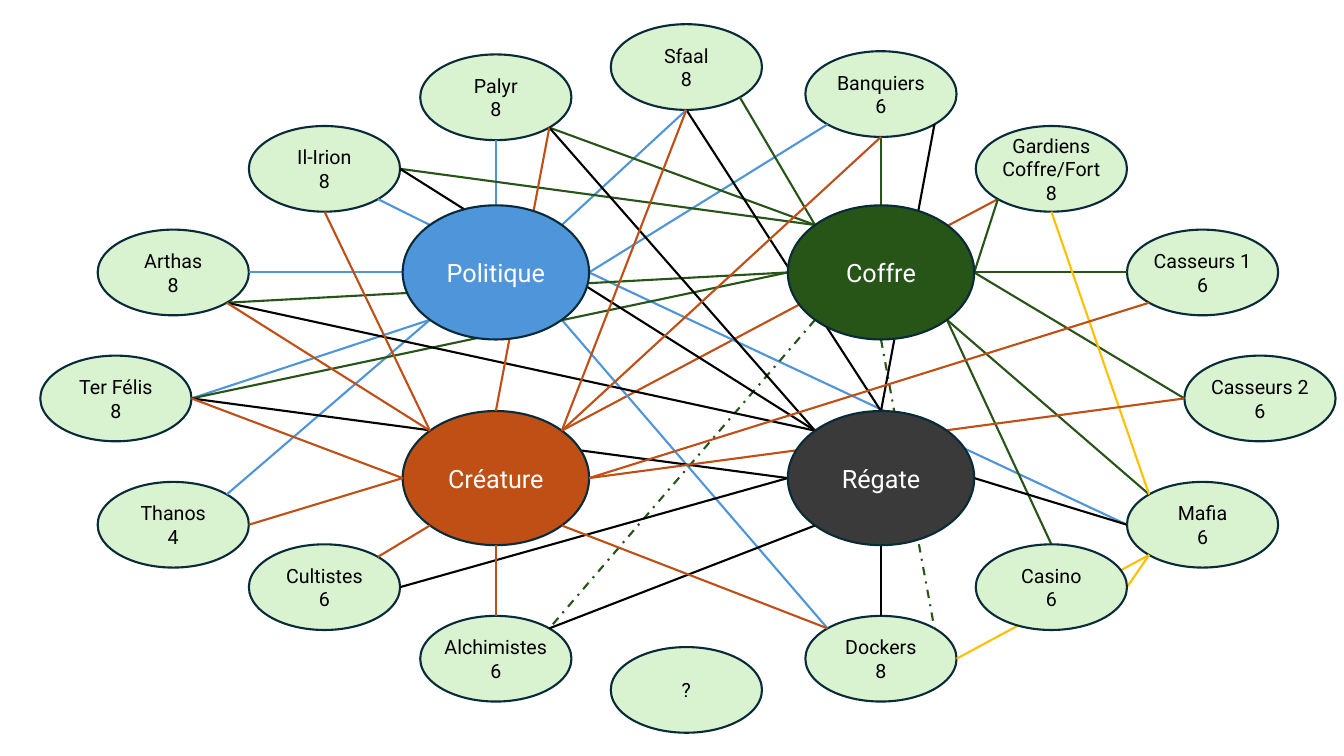
from math import sqrt

from lxml import etree
from pptx import Presentation
from pptx.dml.color import RGBColor
from pptx.enum.dml import MSO_LINE
from pptx.enum.shapes import MSO_CONNECTOR, MSO_SHAPE
from pptx.enum.text import MSO_ANCHOR, PP_ALIGN
from pptx.oxml.ns import qn
from pptx.util import Pt

ELLIPSE = MSO_SHAPE.OVAL
STRAIGHT = MSO_CONNECTOR.STRAIGHT
DASH_DOT = MSO_LINE.DASH_DOT
MIDDLE = MSO_ANCHOR.MIDDLE
CENTER = PP_ALIGN.CENTER

BLUE = RGBColor(0x4E, 0x95, 0xD9)
GREEN = RGBColor(0x27, 0x54, 0x17)
ORANGE = RGBColor(0xC0, 0x4F, 0x15)
CHARCOAL = RGBColor(0x3A, 0x3A, 0x3A)
YELLOW = RGBColor(0xFF, 0xC0, 0x00)
PALE_GREEN = RGBColor(0xD9, 0xF2, 0xD0)
OUTLINE = RGBColor(0x09, 0x2A, 0x39)
BLACK = RGBColor(0x00, 0x00, 0x00)
WHITE = RGBColor(0xFF, 0xFF, 0xFF)

FONT = "Roboto"
LINE_WIDTH = Pt(1.5)
GROUP_SIZE = (108, 61.2)
HUB_SIZE = (133.2, 95.8)

# Plots: centre x, centre y, fill
HUBS = {
    "Politique": (354.2, 194.6, BLUE),
    "Coffre": (629.3, 194.6, GREEN),
    "Créature": (354.2, 341.5, ORANGE),
    "Régate": (629.3, 341.5, CHARCOAL),
}

# Groups of players: centre x, centre y, head count
GROUPS = {
    "Palyr": (354.2, 69.5, "8"),
    "Sfaal": (490.3, 47.9, "8"),
    "Il-Irion": (231.8, 120.6, "8"),
    "Arthas": (123.8, 194.6, "8"),
    "Banquiers": (629.3, 67.2, "6"),
    "Casseurs 1": (859, 194.6, "6"),
    "Gardiens Coffre/Fort": (751, 120.6, "8"),
    "Casseurs 2": (900, 284.6, "6"),
    "Ter Félis": (82.8, 284.6, "8"),
    "Thanos": (123.8, 374.8, "4"),
    "Cultistes": (231.8, 419.4, "6"),
    "Alchimistes": (354.2, 470.5, "6"),
    "?": (490.3, 492.8, ""),
    "Dockers": (629.3, 470.5, "8"),
    "Mafia": (859, 374.8, "6"),
    "Casino": (751, 419.4, "6"),
}

# Links: side of the source, target, side of the target
POLITIQUE_LINKS = [
    ("NE", "Sfaal", "S"), ("N", "Palyr", "S"), ("NW", "Il-Irion", "SE"),
    ("W", "Arthas", "E"), ("SW", "Ter Félis", "E"), ("SW", "Thanos", "NE"),
    ("SE", "Dockers", "NW"), ("E", "Banquiers", "SW"), ("E", "Mafia", "W"),
]
COFFRE_LINKS = [
    ("N", "Banquiers", "S"), ("E", "Gardiens Coffre/Fort", "SW"),
    ("E", "Casseurs 1", "W"), ("E", "Casseurs 2", "W"),
    ("SE", "Mafia", "NW"), ("SE", "Casino", "N"),
    ("W", "Ter Félis", "E"), ("W", "Arthas", "SE"),
    ("NW", "Il-Irion", "E"), ("NW", "Palyr", "SE"), ("NW", "Sfaal", "SE"),
]
COFFRE_DASHED_LINKS = [("S", "Dockers", "NE"), ("SW", "Alchimistes", "NE")]
REGATE_LINKS = [
    ("N", "Banquiers", "SE"), ("E", "Mafia", "W"), ("S", "Dockers", "N"),
    ("SW", "Alchimistes", "NE"), ("W", "Cultistes", "E"),
    ("W", "Ter Félis", "E"), ("NW", "Arthas", "SE"),
    ("NW", "Il-Irion", "E"), ("NW", "Palyr", "SE"), ("N", "Sfaal", "S"),
]
CREATURE_BACK_LINKS = [("NE", "Gardiens Coffre/Fort", "SW")]
CREATURE_LINKS = [
    ("SW", "Cultistes", "NE"), ("SE", "Dockers", "NW"),
    ("S", "Alchimistes", "N"), ("W", "Thanos", "E"),
    ("E", "Casseurs 1", "SW"), ("E", "Casseurs 2", "W"),
    ("NE", "Banquiers", "S"), ("NE", "Sfaal", "S"), ("N", "Palyr", "SE"),
    ("NW", "Il-Irion", "S"), ("NW", "Arthas", "SE"), ("W", "Ter Félis", "E"),
]
MAFIA_LINKS = [
    ("NW", "Gardiens Coffre/Fort", "S"), ("SW", "Casino", "E"),
    ("SW", "Dockers", "E"),
]


def edge_point(name, side):
    """Point of an ellipse's edge in a compass direction."""
    center_x, center_y, _ = HUBS.get(name) or GROUPS[name]
    width, height = HUB_SIZE if name in HUBS else GROUP_SIZE
    reach = 1 / sqrt(len(side))
    x = center_x + ((("E" in side) - ("W" in side)) * reach * width / 2)
    y = center_y + ((("S" in side) - ("N" in side)) * reach * height / 2)
    return Pt(x), Pt(y)


def add_links(slide, source, links, color, dash=None):
    for source_side, target, target_side in links:
        connector = slide.shapes.add_connector(
            STRAIGHT,
            *edge_point(source, source_side),
            *edge_point(target, target_side),
        )
        connector.line.color.rgb = color
        connector.line.width = LINE_WIDTH
        if dash is not None:
            connector.line.dash_style = dash
        properties = connector._element.spPr
        etree.SubElement(properties, qn("a:effectLst"))


def add_ellipse(slide, center, size, fill, lines, font_size, font_color):
    left, top = (middle - length / 2 for middle, length in zip(center, size))
    shape = slide.shapes.add_shape(
        ELLIPSE, Pt(left), Pt(top), Pt(size[0]), Pt(size[1]))
    shape.shadow.inherit = False
    shape.fill.solid()
    shape.fill.fore_color.rgb = fill
    shape.line.color.rgb = OUTLINE
    shape.line.width = LINE_WIDTH
    frame = shape.text_frame
    frame.word_wrap = True
    frame.vertical_anchor = MIDDLE
    frame.text = "\n".join(lines)
    for paragraph in frame.paragraphs:
        paragraph.alignment = CENTER
        paragraph.font.name = FONT
        paragraph.font.size = Pt(font_size)
        paragraph.font.color.rgb = font_color
    return shape


def add_group(slide, name):
    x, y, count = GROUPS[name]
    lines = [name, count] if count else [name]
    shape = add_ellipse(slide, (x, y), GROUP_SIZE, PALE_GREEN, lines, 14, BLACK)
    frame = shape.text_frame
    frame.margin_left = frame.margin_right = 0
    frame.margin_top = frame.margin_bottom = Pt(3)


def add_hub(slide, name):
    x, y, fill = HUBS[name]
    add_ellipse(slide, (x, y), HUB_SIZE, fill, [name], 18, WHITE)


def build_network(slide):
    # Groups, above the one link that runs behind them
    add_links(slide, "Créature", CREATURE_BACK_LINKS, ORANGE)
    for name in GROUPS:
        if name != "Casino":
            add_group(slide, name)

    # Links that pass behind the hubs
    add_links(slide, "Politique", POLITIQUE_LINKS, BLUE)
    add_links(slide, "Coffre", COFFRE_LINKS, GREEN)
    add_links(slide, "Coffre", COFFRE_DASHED_LINKS, GREEN, DASH_DOT)
    add_links(slide, "Régate", REGATE_LINKS, BLACK)

    # Casino covers the Mafia links
    add_hub(slide, "Créature")
    add_links(slide, "Mafia", MAFIA_LINKS, YELLOW)
    add_group(slide, "Casino")

    # Remaining hubs cover the Créature links
    add_links(slide, "Créature", CREATURE_LINKS, ORANGE)
    for name in ("Coffre", "Régate", "Politique"):
        add_hub(slide, name)


def main():
    presentation = Presentation()
    presentation.slide_width = Pt(960)
    presentation.slide_height = Pt(540)
    slide = presentation.slides.add_slide(presentation.slide_layouts[6])
    build_network(slide)
    presentation.save("out.pptx")


if __name__ == "__main__":
    main()
